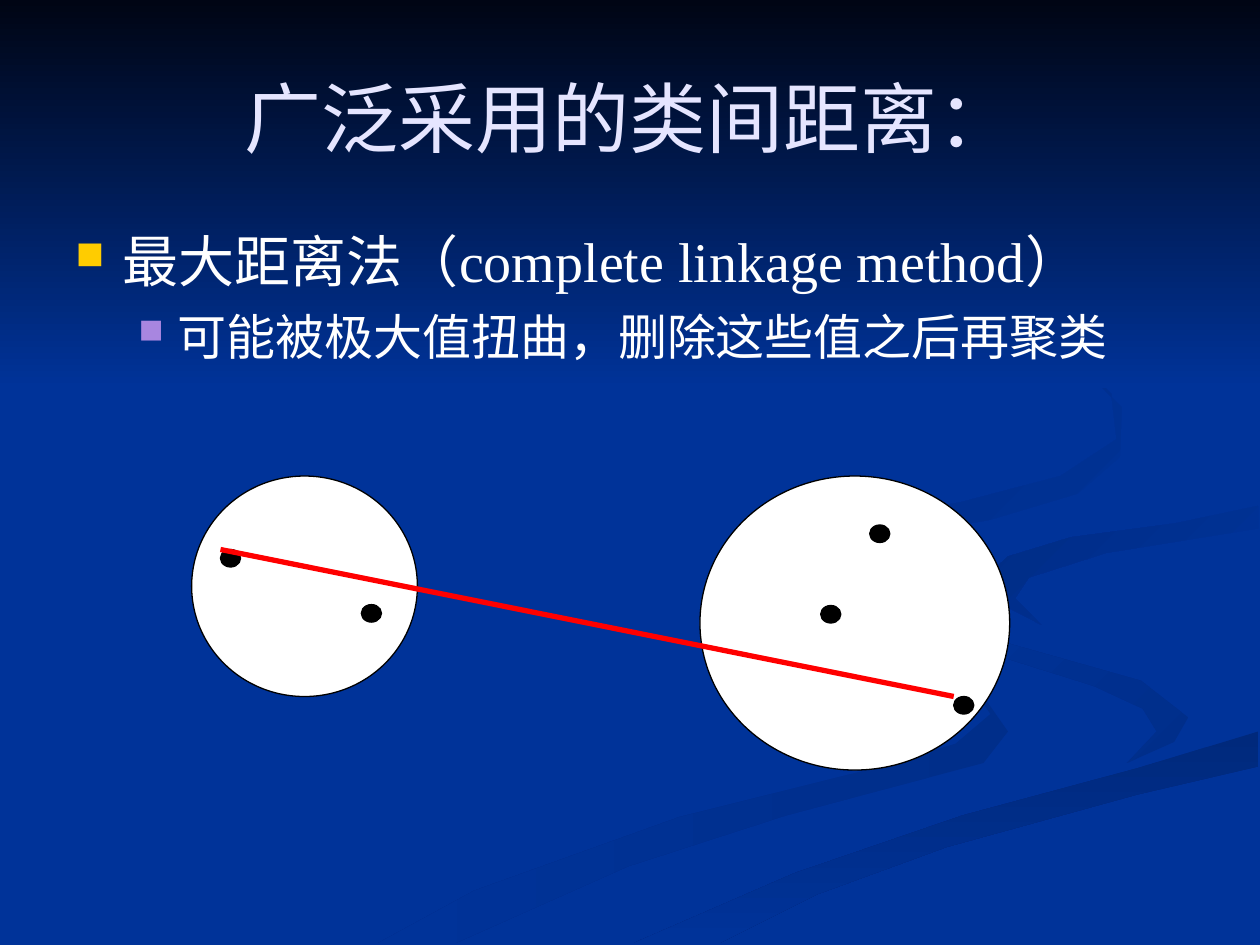
from lxml import etree
from pptx import Presentation
from pptx.dml.color import RGBColor
from pptx.enum.shapes import MSO_CONNECTOR, MSO_SHAPE
from pptx.enum.text import MSO_ANCHOR, PP_ALIGN
from pptx.oxml.ns import qn
from pptx.util import Pt

OVAL, RECT = MSO_SHAPE.OVAL, MSO_SHAPE.RECTANGLE
STRAIGHT = MSO_CONNECTOR.STRAIGHT
CENTER, MIDDLE = PP_ALIGN.CENTER, MSO_ANCHOR.MIDDLE
FONT = "Times New Roman"
COLORS = {
    "blue": "003399", "night": "000514", "title": "E5E5FF", "white": "FFFFFF",
    "black": "000000", "red": "FF0000", "gold": "FFCC00", "violet": "A886E0",
    "shade1": "002E8A", "shade2": "00297C", "shade3": "002C85", "shade4": "002B81",
}

# Background swirls, back to front: fill colours, counterclockwise angle, outline
SWIRLS = [
    (("shade1", "blue"), 180, [
        (562, 398), (491, 374), (428, 349), (414, 330), (418, 348), (489, 374),
        (559, 398), (566, 408), (546, 425), (492, 441), (388, 467), (271, 509),
        (216, 539), (260, 539), (359, 495), (449, 466), (562, 436), (576, 418)]),
    (("shade1", "blue"), 135, [
        (679, 410), (652, 389), (570, 366), (528, 348), (521, 334), (528, 351),
        (552, 369), (625, 392), (653, 405), (661, 418), (644, 436), (671, 424)]),
    (("shade2", "blue"), 270, [
        (362, 539), (411, 539), (467, 511), (541, 484), (650, 454), (719, 438),
        (719, 418), (650, 439), (550, 466), (454, 499)]),
    (("blue", "shade3"), 135, [
        (562, 331), (570, 344), (595, 357), (580, 342), (588, 330), (632, 316),
        (719, 302), (719, 289), (672, 299), (612, 307), (576, 318)]),
    (("blue", "shade4"), 135, [
        (492, 310), (566, 297), (616, 282), (640, 261), (641, 233), (607, 198),
        (549, 168), (609, 201), (635, 225), (638, 251), (606, 272), (549, 287),
        (467, 302), (424, 318), (418, 341), (448, 360), (427, 338), (449, 320)]),
]


def rgb(name):
    return RGBColor.from_string(COLORS[name])


def paint(sp, names, angle=0, line=None):
    """Fill with one colour or a two-colour gradient, without shadow."""
    sp.shadow.inherit = False
    if len(names) == 1:
        sp.fill.solid()
        sp.fill.fore_color.rgb = rgb(names[0])
    else:
        sp.fill.gradient()
        sp.fill.gradient_angle = angle
        for stop, name in zip(sp.fill.gradient_stops, names):
            stop.color.rgb = rgb(name)
    if line:
        sp.line.color.rgb = rgb(line)
        sp.line.width = Pt(0.75)
    else:
        sp.line.fill.background()


def add_background(s, x, y, w):
    s.background.fill.solid()
    s.background.fill.fore_color.rgb = rgb("blue")
    for names, angle, points in SWIRLS:
        builder = s.shapes.build_freeform(*points[0], scale=Pt(1))
        builder.add_line_segments(points[1:], close=True)
        paint(builder.convert_to_shape(Pt(x), Pt(y)), names, angle)
    # Night sky fading down into the blue
    sky = s.shapes.add_shape(RECT, Pt(x), Pt(y), Pt(w), Pt(222))
    paint(sky, ("night", "blue"), 270)


def add_text(s, x, y, w, h):
    tf = s.shapes.add_textbox(Pt(x), Pt(y), Pt(w), Pt(h)).text_frame
    tf.word_wrap = True
    return tf


def style(p, size, color):
    for r in p.runs:
        r.font.name = FONT
        r.font.size = Pt(size)
        r.font.color.rgb = rgb(color)


def add_bullet(p, margin, hanging, color):
    pPr = p._p.get_or_add_pPr()
    pPr.set("marL", str(Pt(margin)))
    pPr.set("indent", str(-Pt(hanging)))
    clr = etree.SubElement(pPr, qn("a:buClr"))
    etree.SubElement(clr, qn("a:srgbClr"), val=COLORS[color])
    etree.SubElement(pPr, qn("a:buSzPct"), val="70000")
    etree.SubElement(pPr, qn("a:buChar"), char="■")


def add_title(s, x, y, w, h):
    tf = add_text(s, x, y, w, h)
    tf.vertical_anchor = MIDDLE
    p = tf.paragraphs[0]
    p.text = "广泛采用的类间距离："
    p.alignment = CENTER
    style(p, 44, "title")


def add_body(s, x, y, w, h):
    tf = add_text(s, x, y, w, h)
    p = tf.paragraphs[0]
    p.text = "最大距离法（complete linkage method）"
    add_bullet(p, 27, 27, "gold")
    style(p, 32, "white")
    p = tf.add_paragraph()
    p.text = "可能被极大值扭曲，删除这些值之后再聚类"
    p.level = 1
    add_bullet(p, 58.5, 22.5, "violet")
    p.space_before = Pt(7)
    style(p, 28, "white")


def add_clusters(s, x, y):
    def oval(left, top, w, h, color):
        sp = s.shapes.add_shape(OVAL, Pt(x + left), Pt(y + top), Pt(w), Pt(h))
        paint(sp, (color,), line="black")

    # Two clusters and their points
    oval(0, 0, 129, 126, "white")
    oval(290.5, 0, 177, 168, "white")
    for left, top in [(16.5, 42), (97, 73.5), (435.5, 126), (359.5, 74), (387.5, 28)]:
        oval(left, top, 11.5, 10, "black")

    # Largest distance between the clusters
    line = s.shapes.add_connector(
        STRAIGHT, Pt(x + 16.5), Pt(y + 42), Pt(x + 435.5), Pt(y + 126))
    line.line.color.rgb = rgb("red")
    line.line.width = Pt(3)
    etree.SubElement(line._element.spPr, qn("a:effectLst"))


def main():
    prs = Presentation()
    prs.slide_width, prs.slide_height = Pt(720), Pt(540)
    s = prs.slides.add_slide(prs.slide_layouts[6])
    add_background(s, 0, 0, 720)
    add_title(s, 36, 21.6, 648, 90)
    add_body(s, 36, 126, 648, 356.4)
    add_clusters(s, 109.5, 272)
    prs.save("out.pptx")


if __name__ == "__main__":
    main()
